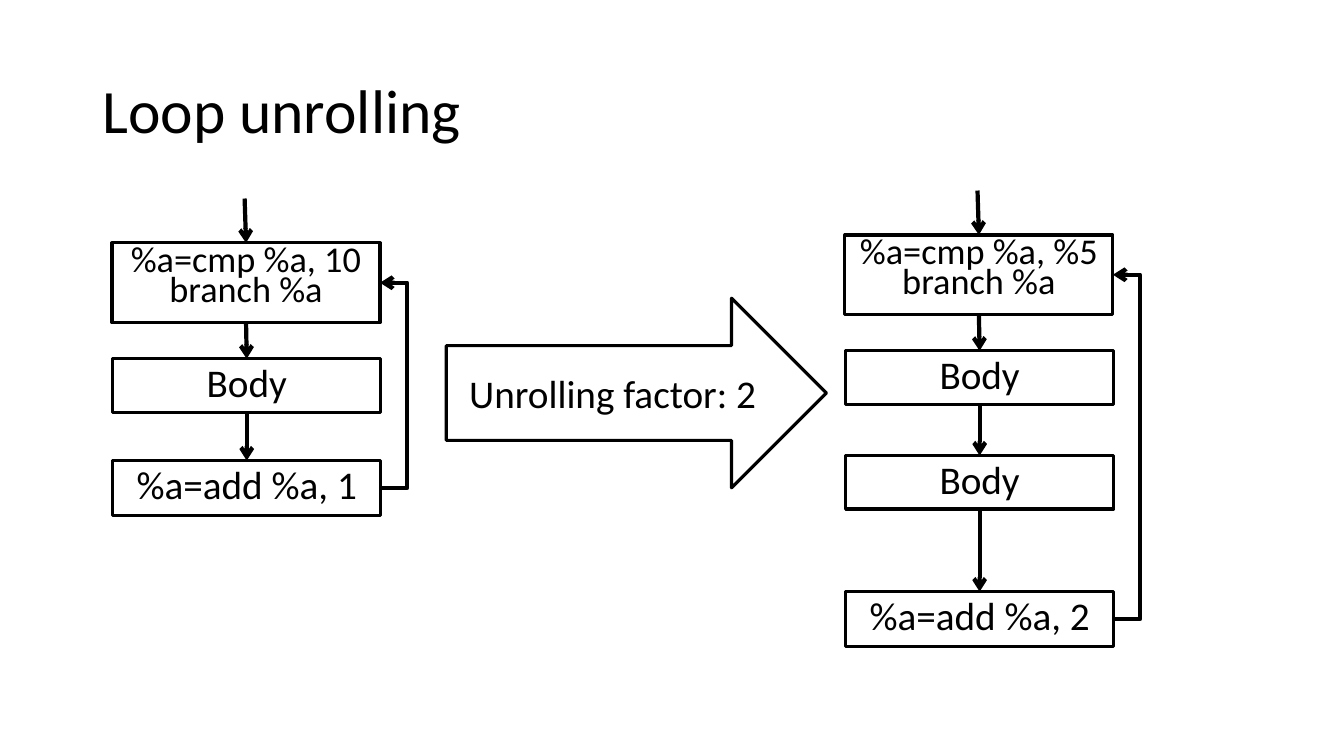
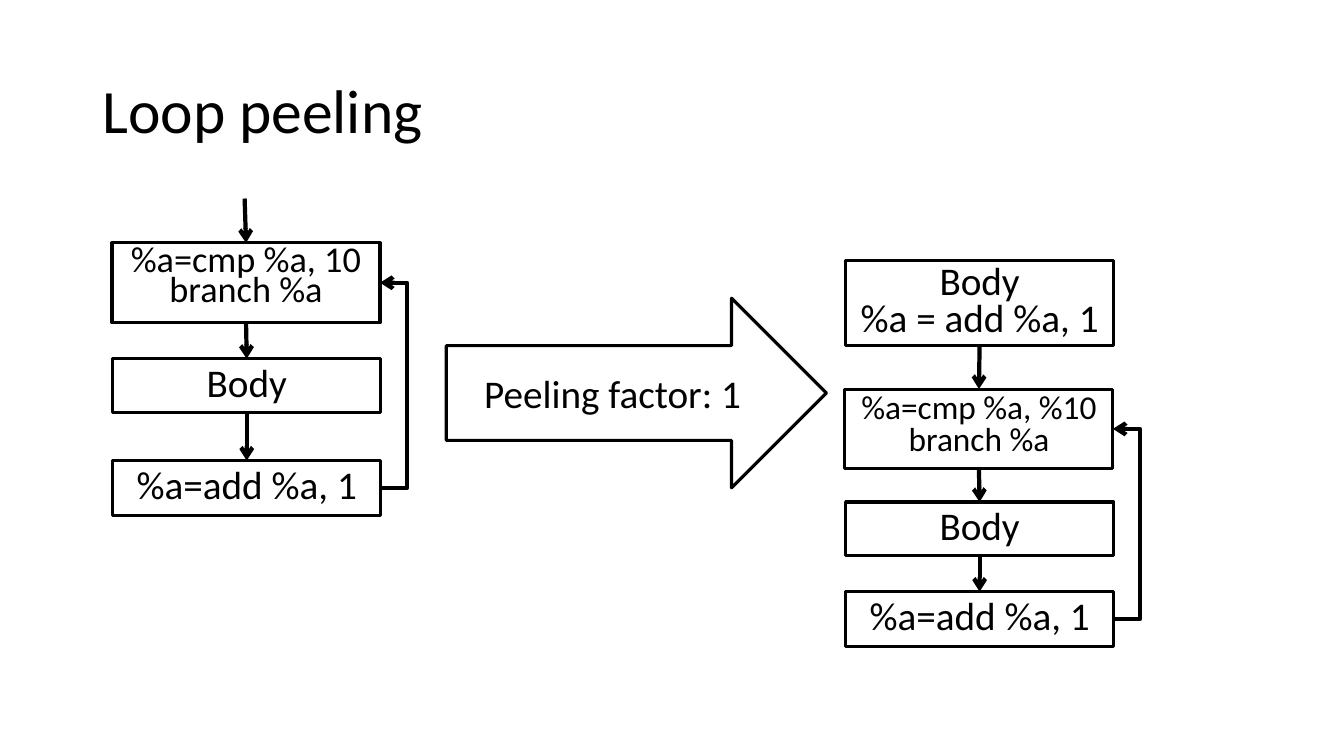
from typing import NamedTuple

from lxml.etree import SubElement
from pptx import Presentation
from pptx.dml.color import RGBColor
from pptx.enum.shapes import MSO_CONNECTOR, MSO_SHAPE
from pptx.enum.text import MSO_ANCHOR, PP_ALIGN
from pptx.oxml.ns import qn
from pptx.util import Pt

BLACK = RGBColor(0x00, 0x00, 0x00)
FONT = "Calibri"
BOX_W = 191.5
NUDGE = 0.5
LOOP_REACH = 18.5
ENTRY_RISE = 31.7
TOP, LEFT, BOTTOM, RIGHT = range(4)
LEFT_X, RIGHT_X = 80, 603.5


class Box(NamedTuple):
    top: float
    height: float
    text: str
    size: float = 28
    spacing: float = 0.9
    loop_head: bool = False


class Flow(NamedTuple):
    left: float
    boxes: list[Box]
    has_entry: bool = True


class Page(NamedTuple):
    title: str
    arrow_text: str
    flows: list[Flow]


def compare(top: float, text: str, size: float = 25.9, spacing: float = 0.7) -> Box:
    return Box(top, 57, f"{text}\nbranch %a", size, spacing, True)


def body(top: float) -> Box:
    return Box(top, 38.2, "Body")


def step(top: float, amount: int) -> Box:
    return Box(top, 39.5, f"%a=add %a, {amount}")


SOURCE_LOOP = Flow(LEFT_X, [compare(173.5, "%a=cmp %a, 10"), body(256.3), step(329, 1)])
UNROLLED = Flow(RIGHT_X, [
    compare(167.8, "%a=cmp %a, %5"), body(250.6), body(325.4), step(422.6, 2),
])
PEELED = Flow(RIGHT_X, [
    Box(185.8, 61.2, "Body\n%a = add %a, 1", spacing=0.8),
    compare(277.9, "%a=cmp %a, %10", 23.8, 0.8),
    body(358.6),
    step(422.6, 1),
], has_entry=False)
PAGES = [
    Page("Loop unrolling", "Unrolling factor: 2", [SOURCE_LOOP, UNROLLED]),
    Page("Loop peeling", "Peeling factor: 1", [SOURCE_LOOP, PEELED]),
]


def write(sp, text: str, size: float, anchor, **paragraph_format) -> None:
    tf = sp.text_frame
    tf.word_wrap = True
    tf.vertical_anchor = anchor
    p = tf.paragraphs[0]
    p.text = text
    for name, value in paragraph_format.items():
        setattr(p, name, value)
    for r in p.runs:
        for name, value in {"name": FONT, "size": Pt(size)}.items():
            setattr(r.font, name, value)
        r.font.color.rgb = BLACK


def add_outline(s, kind, left: float, top: float, width: float, height: float):
    sp = s.shapes.add_shape(kind, Pt(left), Pt(top), Pt(width), Pt(height))
    sp.shadow.inherit = False
    sp.fill.background()
    sp.line.color.rgb = BLACK
    sp.line.width = Pt(2.25)
    return sp


def add_box(s, left: float, box: Box):
    x = left if box.loop_head else left + NUDGE
    sp = add_outline(s, MSO_SHAPE.RECTANGLE, x, box.top, BOX_W, box.height)
    write(sp, box.text, box.size, MSO_ANCHOR.TOP, alignment=PP_ALIGN.CENTER,
          line_spacing=box.spacing, space_before=Pt(10))
    return sp


def add_arrow(s, kind, x: float = 0, y: float = 0):
    cxn = s.shapes.add_connector(kind, Pt(x), Pt(y), Pt(x), Pt(y))
    cxn.line.color.rgb = BLACK
    cxn.line.width = Pt(3)
    SubElement(cxn.line._get_or_add_ln(), qn("a:tailEnd"), type="arrow")
    SubElement(cxn._element.spPr, qn("a:effectLst"))
    return cxn


def join(s, kind, start, start_side: int, end, end_side: int):
    cxn = add_arrow(s, kind)
    cxn.begin_connect(start, start_side)
    cxn.end_connect(end, end_side)
    return cxn


def add_loop(s, last, head) -> None:
    cxn = join(s, MSO_CONNECTOR.ELBOW, last, RIGHT, head, RIGHT)
    bend = round(-LOOP_REACH / NUDGE * 100000)
    geometry = cxn._element.spPr.find(qn("a:prstGeom"))
    guides = geometry.find(qn("a:avLst"))
    if guides is None:
        guides = SubElement(geometry, qn("a:avLst"))
    SubElement(guides, qn("a:gd"), name="adj1", fmla=f"val {bend}")


def add_flow(s, flow: Flow) -> None:
    shapes = [add_box(s, flow.left, box) for box in flow.boxes]
    if flow.has_entry:
        entry = add_arrow(s, MSO_CONNECTOR.STRAIGHT, flow.left + BOX_W / 2 - 1,
                          flow.boxes[0].top - ENTRY_RISE)
        entry.end_connect(shapes[0], TOP)
    for upper, lower in zip(shapes, shapes[1:]):
        join(s, MSO_CONNECTOR.STRAIGHT, upper, BOTTOM, lower, TOP)
    head = next(sp for sp, box in zip(shapes, flow.boxes) if box.loop_head)
    add_loop(s, shapes[-1], head)


def add_page(prs, page: Page) -> None:
    s = prs.slides.add_slide(prs.slide_layouts[6])
    title = s.shapes.add_textbox(Pt(66), Pt(28.8), Pt(828), Pt(104.4))
    write(title, page.title, 44, MSO_ANCHOR.MIDDLE, line_spacing=0.9)
    for flow in page.flows:
        add_flow(s, flow)
    arrow = add_outline(s, MSO_SHAPE.RIGHT_ARROW, 318.8, 213, 271.5, 135.5)
    write(arrow, page.arrow_text, 28, MSO_ANCHOR.MIDDLE, alignment=PP_ALIGN.CENTER)


def main() -> None:
    prs = Presentation()
    prs.slide_width, prs.slide_height = Pt(960), Pt(540)
    for page in PAGES:
        add_page(prs, page)
    prs.save("out.pptx")


if __name__ == "__main__":
    main()
